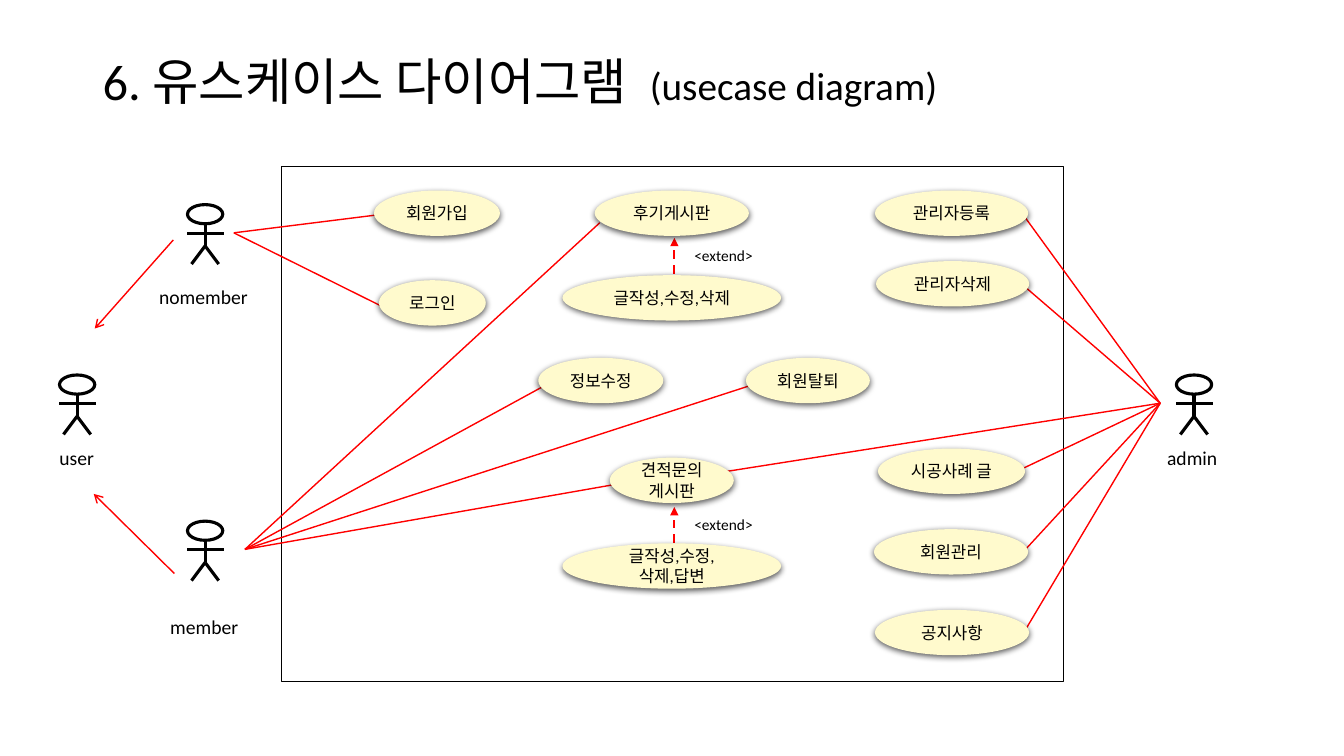
from lxml.etree import SubElement as Sub
from pptx import Presentation
from pptx.dml.color import RGBColor as Rgb
from pptx.enum.dml import MSO_LINE as Dash
from pptx.enum.shapes import MSO_CONNECTOR as Conn, MSO_SHAPE as Kind
from pptx.enum.text import MSO_ANCHOR as Anchor, PP_ALIGN as Align
from pptx.oxml.ns import qn
from pptx.util import Inches, Pt

HUES = {"ink": "000000", "link": "FF0000", "case": "FFFACD"}
CELL = Inches(0.1)
COLS, ROWS = 133.33, 75
CASE_H = 4.5

FRAME = (27.9, 16.5, 77.6, 51.1)
TITLE = (9.2, 4.5, 106.6, 7.1)

CASES = [
    ("회원가입", 9.2, 2.4, 12.5),
    ("로그인", 9.7, 11.3, 10.6),
    ("정보수정", 25.5, 19, 12.4),
    ("회원탈퇴", 46.1, 19, 12.3),
    ("시공사례 글", 59.2, 28, 14.6),
    ("공지사항", 58.9, 44, 15.3),
    ("후기게시판", 31.1, 2.4, 15.3),
    ("관리자등록", 58.9, 2.4, 15.2),
    ("관리자삭제", 59, 9.4, 15.2),
    ("견적문의게시판", 32.6, 28.9, 12.3),
    ("회원관리", 58.8, 36, 15.3),
    ("글작성,수정,삭제", 27.9, 10.8, 21.7),
    ("글작성,수정,\n삭제,답변", 27.9, 37.4, 21.7),
]
EXTENDS = [7.1, 33.8]

ACTORS = [
    ("nomember", (18.6, 20.3), (14.8, 27.8, 11, 3.4)),
    ("member", (18.6, 51.7), (15.9, 60.5, 8.9, 3.4)),
    ("user", (5.9, 37.2), (4.9, 43.7, 5.8, 3.4)),
    ("admin", (116.7, 37.2), (114.8, 43.7, 7.3, 3.4)),
]
LIMBS = [
    (1.75, 1.9, 1.75, 4.1),
    (0, 2.85, 3.6, 2.85),
    (1.75, 4.1, 0.4, 5.9),
    (1.75, 4.1, 3.1, 5.9),
]

FANS = [
    ((115.1, 40), [(101.5, 21.3), (101.5, 28.3), (70.6, 47),
                   (101, 46.7), (101.1, 55.2), (101.6, 62.7)]),
    ((24.3, 54.5), [(54.5, 38), (75.2, 38), (60.8, 48.1), (59.5, 22.1)]),
    ((23.2, 23.1), [(37.6, 21.3), (38.1, 30.5)]),
]
ISA = [(17.2, 23.8, 9.4, 32.6), (17.3, 56.9, 9.3, 49)]


def span(*cells):
    return [round(c * CELL) for c in cells]


def hue(name):
    return Rgb.from_string(HUES[name])


def apply(part, form):
    for key, val in form.items():
        setattr(part, key, val)


def stroke(line, name, width):
    line.color.rgb = hue(name)
    line.width = Pt(width)


def write(shape, runs, align=None, **form):
    frame = shape.text_frame
    apply(frame, {"word_wrap": True, **form})
    rows = [frame.paragraphs[0]]
    for text, size in runs:
        for i, part in enumerate(text.split("\n")):
            if i:
                rows.append(frame.add_paragraph())
            rows[-1].alignment = align
            run = rows[-1].add_run()
            run.text = part
            apply(run.font, {"name": "Calibri", "size": Pt(size)})
            run.font.color.rgb = hue("ink")


def label(slide, box, *runs):
    write(slide.shapes.add_textbox(*span(*box)), runs)


def wire(shapes, ends, name="link", width=1, head=None, dash=None):
    line = shapes.add_connector(Conn.STRAIGHT, *span(*ends))
    stroke(line.line, name, width)
    if dash:
        line.line.dash_style = dash
    if head:
        Sub(line.line._get_or_add_ln(), qn("a:tailEnd"), type=head)
    Sub(line._element.spPr, qn("a:effectLst"))


def scope(slide, box):
    rect = slide.shapes.add_shape(Kind.RECTANGLE, *span(*box))
    rect.shadow.inherit = False
    rect.fill.background()
    stroke(rect.line, "ink", 1)


def links(slide):
    for hub, ends in FANS:
        for end in ends:
            wire(slide.shapes, end + hub)
    for ends in ISA:
        wire(slide.shapes, ends, head="arrow")


def actor(slide, spot, name, box):
    x, y = spot
    group = slide.shapes.add_group_shape()
    head = group.shapes.add_shape(Kind.OVAL, *span(x, y, 3.5, 1.9))
    head.shadow.inherit = False
    head.fill.background()
    stroke(head.line, "ink", 2.25)
    for a, b, c, d in LIMBS:
        wire(group.shapes, (x + a, y + b, x + c, y + d), "ink", 2.25)
    label(slide, box, (name, 14))


def glow(shape):
    shape.shadow.inherit = False
    fx = shape._element.spPr.find(qn("a:effectLst"))
    cast = Sub(fx, qn("a:outerShdw"), blurRad=str(Pt(4.5)),
               dist=str(Pt(1.5)), dir="5400000", rotWithShape="0")
    tint = Sub(cast, qn("a:srgbClr"), val=HUES["ink"])
    Sub(tint, qn("a:alpha"), val="63000")


def case(slide, text, box):
    oval = slide.shapes.add_shape(Kind.OVAL, *span(*box))
    oval.fill.solid()
    oval.fill.fore_color.rgb = hue("case")
    oval.line.fill.background()
    glow(oval)
    write(oval, [(text, 12)], Align.CENTER, vertical_anchor=Anchor.MIDDLE)


def cases(slide, box):
    left, top = box[:2]
    for y in EXTENDS:
        x = left + box[2] / 2 + 0.2
        wire(slide.shapes, (x, top + y + 5, x, top + y), width=1.5,
             head="triangle", dash=Dash.DASH)
        label(slide, (x + 1, top + y + 0.3, 12.3, 2.9), ("<extend>", 11))
    for text, x, y, w in CASES:
        case(slide, text, (left + x, top + y, w, CASE_H))


def main():
    deck = Presentation()
    deck.slide_width, deck.slide_height = span(COLS, ROWS)
    slide = deck.slides.add_slide(deck.slide_layouts[6])
    scope(slide, FRAME)
    links(slide)
    label(slide, TITLE, ("6. 유스케이스 다이어그램  ", 36), ("(usecase diagram)", 28))
    for name, spot, box in ACTORS:
        actor(slide, spot, name, box)
    cases(slide, FRAME)
    deck.save("out.pptx")


if __name__ == "__main__":
    main()
